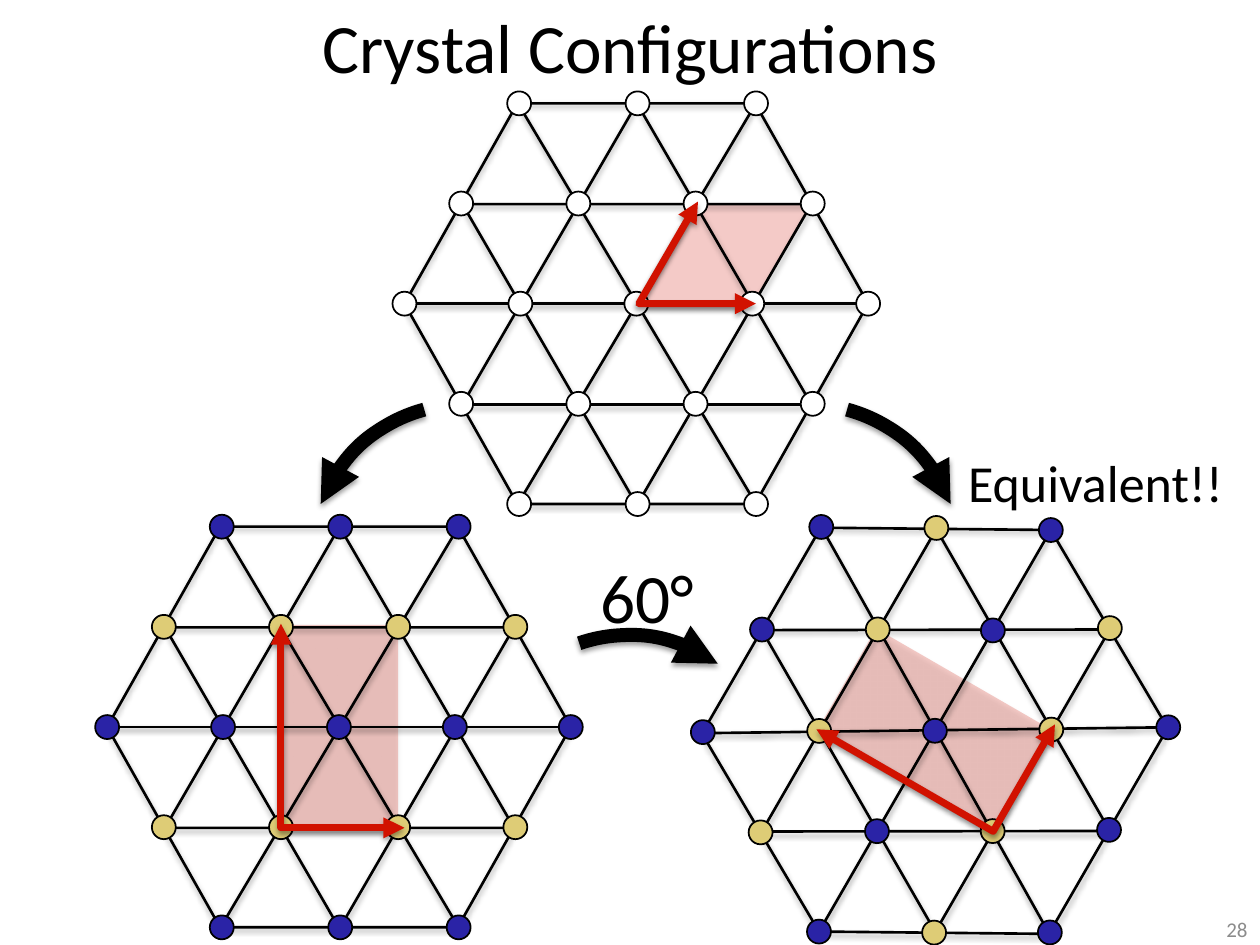
import math

import lxml.etree
import pptx
import pptx.dml.color
import pptx.enum.shapes
import pptx.enum.text
import pptx.oxml
import pptx.oxml.ns
import pptx.util

Inches = pptx.util.Inches
Pt = pptx.util.Pt
SHAPE = pptx.enum.shapes.MSO_SHAPE
ALIGN = pptx.enum.text.PP_ALIGN
BLACK, WHITE, RED = "000000", "FFFFFF", "D11200"
BLUE, GOLD = "2A23A6", "DECC76"
ROWS = [(0.91, 0.94, 3), (0.45, 0.93, 4), (0, 0.92, 5), (0.45, 0.93, 4), (0.91, 0.94, 3)]
ATOM = 0.19


def rgb(code):
    """Turn a hex string into a colour."""
    return pptx.dml.color.RGBColor.from_string(code)


def sub(parent, tag, **attributes):
    """Append a DrawingML element."""
    element = lxml.etree.SubElement(parent, pptx.oxml.ns.qn("a:" + tag))
    for key, value in attributes.items():
        element.set(key, str(value))
    return element


def style(shape, line=None, width=1.5, fill=None, alpha=None, shadow=None, ends=()):
    """Set fill, outline, arrowheads and shadow of a shape or connector."""
    if fill:
        shape.fill.solid()
        shape.fill.fore_color.rgb = rgb(fill)
        if alpha:
            color = shape.fill._xPr.find(".//" + pptx.oxml.ns.qn("a:srgbClr"))
            sub(color, "alpha", val=alpha * 1000)
    elif hasattr(shape, "fill"):
        shape.fill.background()
    if line:
        shape.line.color.rgb = rgb(line)
        shape.line.width = Pt(width)
    else:
        shape.line.fill.background()
    for end in ends:
        sub(shape.line._get_or_add_ln(), end, type="triangle")
    effects = sub(shape._element.spPr, "effectLst")
    if shadow:
        outer = sub(effects, "outerShdw", blurRad=Pt(3.1), dist=Pt(1.7), dir=5400000, rotWithShape=0)
        sub(sub(outer, "srgbClr", val=BLACK), "alpha", val=shadow * 1000)


def write(shape, text, size, color=BLACK, align=ALIGN.CENTER):
    """Fill a text shape with one formatted paragraph."""
    frame = shape.text_frame
    frame.word_wrap = True
    frame.auto_size = pptx.enum.text.MSO_AUTO_SIZE.NONE
    frame.vertical_anchor = pptx.enum.text.MSO_ANCHOR.MIDDLE
    paragraph = frame.paragraphs[0]
    paragraph.text = text
    paragraph.alignment = align
    paragraph.font.size = Pt(size)
    paragraph.font.name = "Calibri"
    paragraph.font.color.rgb = rgb(color)


def label(slide, box, text, size, **text_format):
    """Add a text box."""
    write(slide.shapes.add_textbox(*map(Inches, box)), text, size, **text_format)


def turned(box, x, y, turn):
    """Map a point inside the box to the slide, turned about the box centre."""
    left, top, width, height = box
    angle = math.radians(turn)
    dx, dy = x - width / 2, y - height / 2
    return (left + width / 2 + dx * math.cos(angle) - dy * math.sin(angle),
            top + height / 2 + dx * math.sin(angle) + dy * math.cos(angle))


def part(shapes, kind, box, inner, turn):
    """Add a preset shape placed inside a turned box."""
    x, y, width, height = inner
    center_x, center_y = turned(box, x + width / 2, y + height / 2, turn)
    shape = shapes.add_shape(kind, Inches(center_x - width / 2), Inches(center_y - height / 2),
                             Inches(width), Inches(height))
    shape.rotation = turn % 360
    return shape


def bonds(shapes, box, turn):
    """Draw the lines of the triangular lattice."""
    width, height = box[2:]
    for start, end in [((0.9, 0), (2.79, height)), ((2.79, 0), (0.9, height)),
                       ((0, height / 2), (width, height / 2))]:
        points = turned(box, *start, turn) + turned(box, *end, turn)
        bond = shapes.add_connector(pptx.enum.shapes.MSO_CONNECTOR.STRAIGHT, *map(Inches, points))
        style(bond, BLACK, shadow=38)
    outline = part(shapes, SHAPE.HEXAGON, box, (0, 0, width, height), turn)
    outline.adjustments[0] = 0.282
    upright = part(shapes, SHAPE.ISOSCELES_TRIANGLE, box, (0.46, 0, 2.77, 2.39), turn)
    inverted = part(shapes, SHAPE.ISOSCELES_TRIANGLE, box, (0.46, 0.8, 2.77, 2.39), turn)
    inverted._element.spPr.xfrm.set("flipV", "1")
    for shape in (outline, upright, inverted):
        style(shape, BLACK, shadow=35)


def atoms(shapes, box, turn, colors):
    """Draw the atoms row by row, alternating the colours."""
    for row, (start, pitch, count) in enumerate(ROWS):
        y = box[3] * row / (len(ROWS) - 1)
        for column in range(count):
            x = start + pitch * column
            atom = part(shapes, SHAPE.OVAL, box, (x - ATOM / 2, y - ATOM / 2, ATOM, ATOM), turn)
            style(atom, BLACK, 1, fill=colors[row % 2])


def basis_vectors(shapes, box, points, turn):
    """Draw the two red vectors that span the unit cell."""
    start, *others = [tuple(map(Inches, turned(box, *point, turn))) for point in points]
    builder = shapes.build_freeform(*start)
    builder.add_line_segments(others, close=False)
    style(builder.convert_to_shape(), RED, 4, shadow=38, ends=("headEnd", "tailEnd"))


def crystal(slide, box, colors, cell, vectors, turn=0, skewed=False):
    """Draw one crystal with its unit cell and basis vectors."""
    kind = SHAPE.PARALLELOGRAM if skewed else SHAPE.RECTANGLE
    unit_cell = part(slide.shapes, kind, box, cell, turn)
    if skewed:
        unit_cell.adjustments[0] = 0.577
        style(unit_cell, "4B7EBC", 0.75, fill=RED, alpha=22)
    else:
        style(unit_cell, fill=RED, alpha=22, shadow=35)
    lattice = slide.shapes.add_group_shape().shapes
    bonds(lattice, box, turn)
    atoms(lattice, box, turn, colors)
    basis_vectors(slide.shapes, box, vectors, turn)


def curved_arrow(slide, left, top, turn=0, mirrored=False):
    """Draw a thick arc with an arrowhead."""
    arrow = slide.shapes.add_shape(SHAPE.ARC, Inches(left), Inches(top), Inches(2.42), Inches(2.42))
    arrow.adjustments[0] = 170.979
    arrow.adjustments[1] = 203.798
    arrow.rotation = turn
    if mirrored:
        arrow._element.spPr.xfrm.set("flipH", "1")
    style(arrow, BLACK, 8, shadow=38, ends=("tailEnd",))


def crystal_slide(deck):
    """Build the slide that compares crystal configurations."""
    slide = deck.slides.add_slide(deck.slide_layouts[5])
    title = slide.shapes.title
    title.left, title.top, title.width, title.height = map(Inches, (0, 0.02, 10, 0.69))
    write(title, "Crystal Configurations", 39.6)

    rectangle = (1.35, 0.78, 0.96, 1.61)
    corner = [(1.38, 0.77), (1.38, 2.39), (2.36, 2.39)]
    crystal(slide, (0.85, 4.18, 3.68, 3.18), (BLUE, GOLD), rectangle, corner)
    crystal(slide, (3.21, 0.82, 3.68, 3.18), (WHITE, WHITE), (1.87, 0.8, 1.36, 0.78),
            [(2.33, 0.78), (1.86, 1.59), (2.79, 1.59)], skewed=True)
    crystal(slide, (5.58, 4.21, 3.68, 3.18), (BLUE, GOLD), rectangle, corner, turn=-60)

    curved_arrow(slide, 3.78, 5.04, turn=326.1)
    curved_arrow(slide, 2.47, 3.21, mirrored=True)
    curved_arrow(slide, 5.2, 3.21)
    label(slide, (4.2, 4.38, 1.88, 0.69), "60°", 39.6)
    label(slide, (7.54, 3.48, 2.31, 0.69), "Equivalent!!", 29.7)
    label(slide, (7.92, 7.25, 2.08, 0.25), "28", 12, color="8C8C8C", align=ALIGN.RIGHT)


def main():
    """Create and save the deck."""
    deck = pptx.Presentation()
    deck.slide_width, deck.slide_height = Inches(10), Inches(7.5)
    crystal_slide(deck)
    deck.save("out.pptx")


if __name__ == "__main__":
    main()
